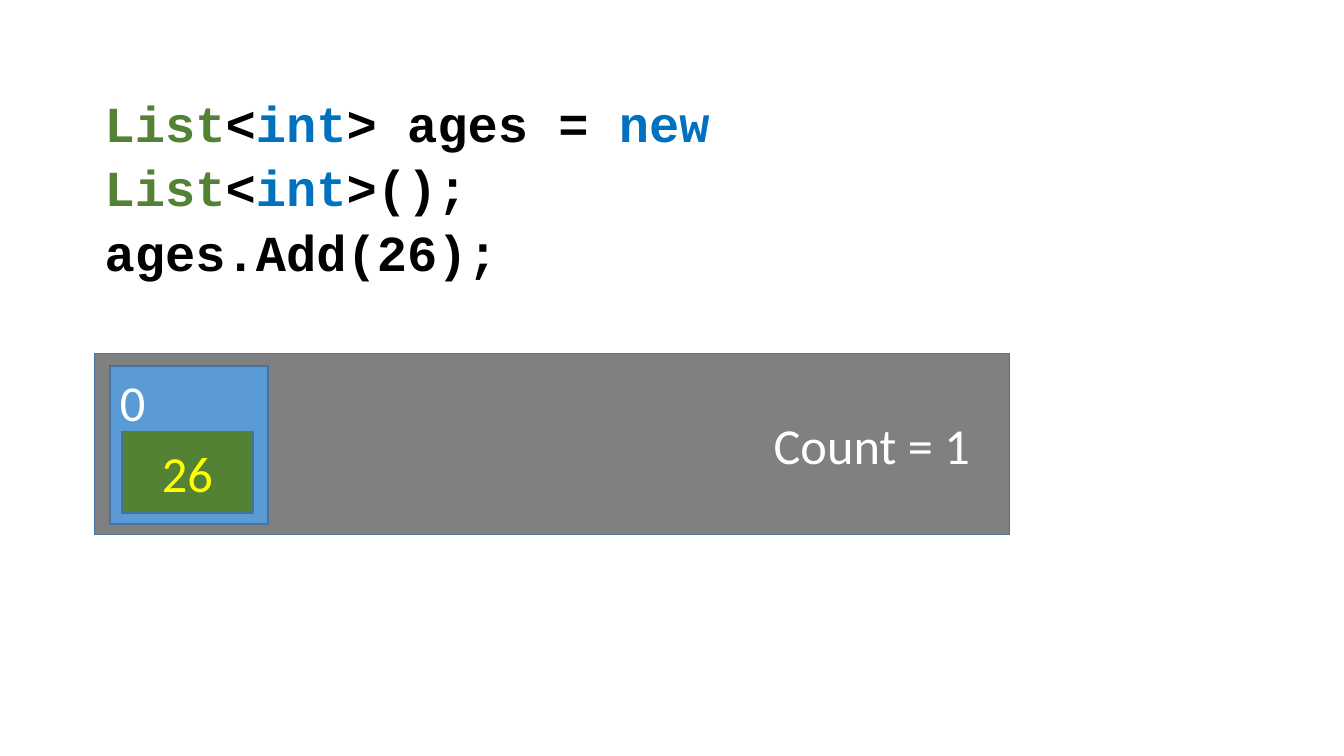
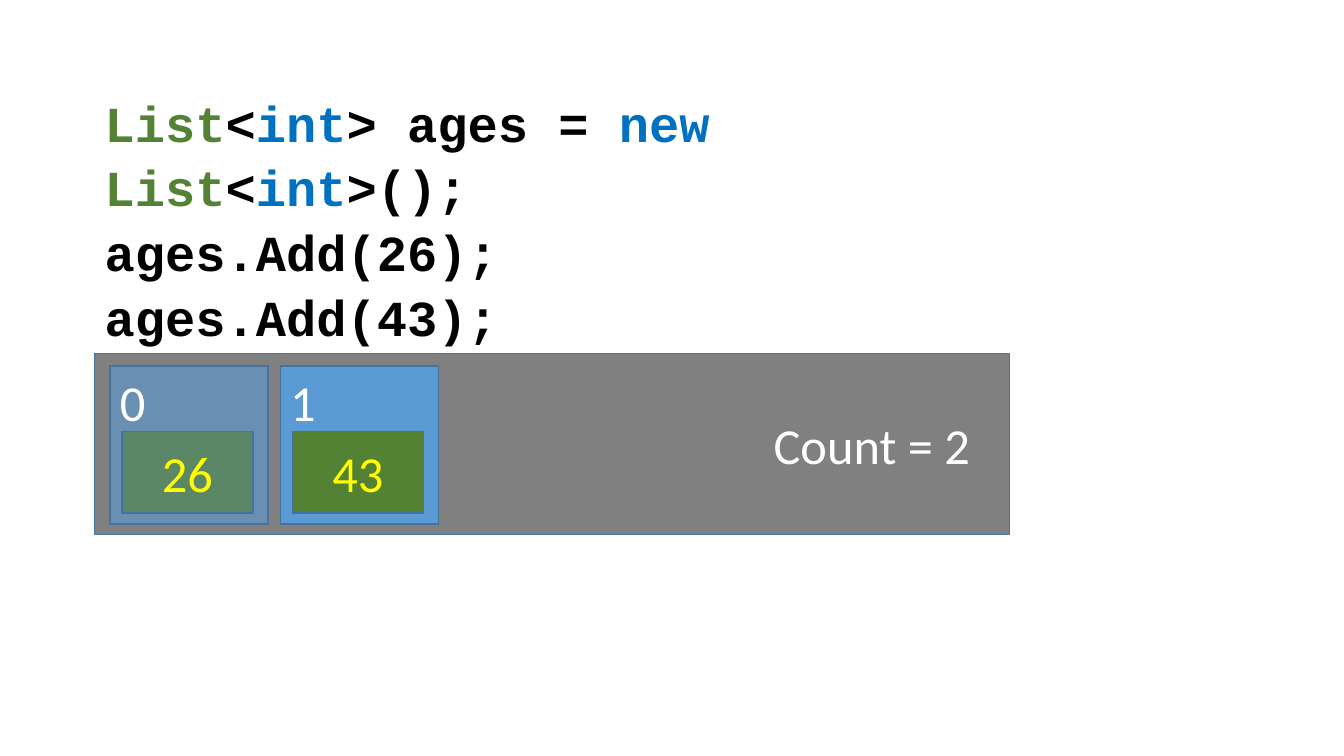
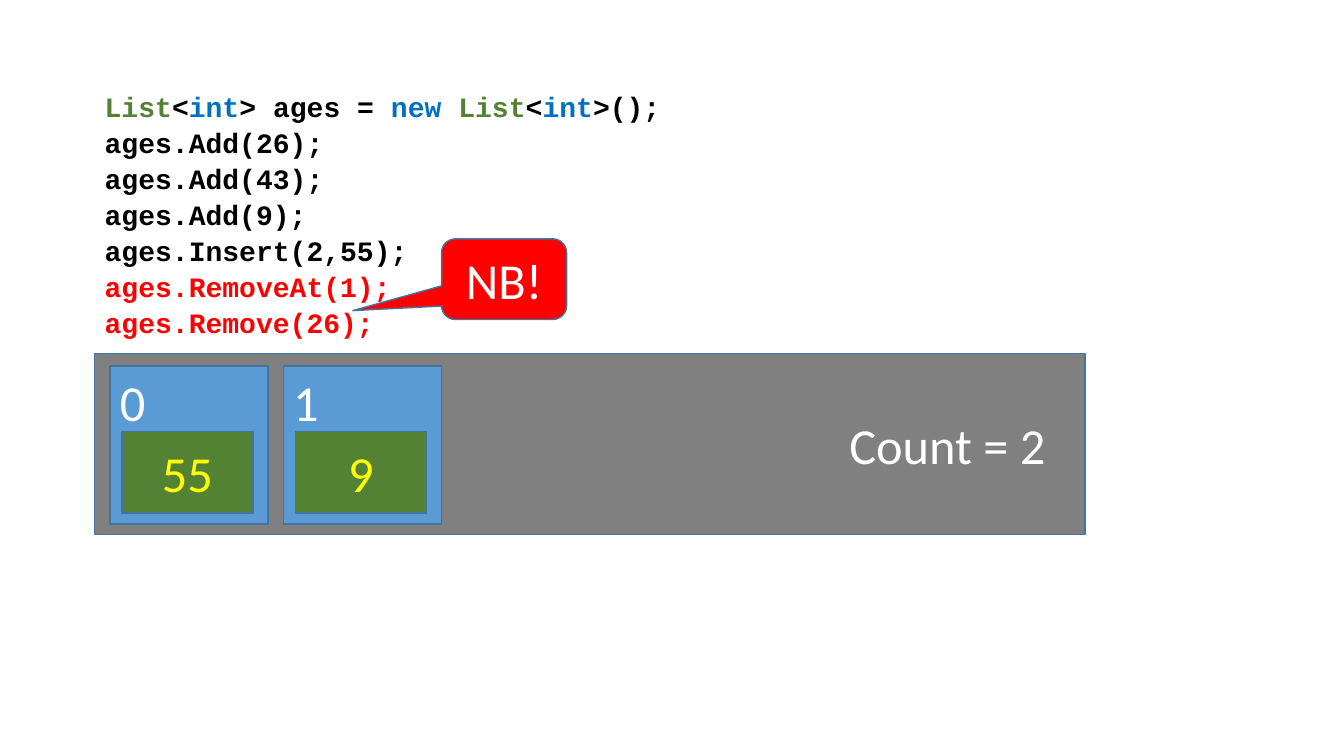
"""Build three slides that follow a C# list while items are added and removed."""

from dataclasses import dataclass
from typing import Optional

from lxml.etree import SubElement
from pptx import Presentation
from pptx.dml.color import RGBColor
from pptx.enum.shapes import MSO_SHAPE as Shape
from pptx.enum.text import MSO_ANCHOR as Anchor, MSO_AUTO_SIZE as AutoSize, PP_ALIGN as Align
from pptx.oxml.ns import qn
from pptx.shapes.autoshape import Shape as AutoShape
from pptx.slide import Slide
from pptx.util import Inches, Pt

COLORS = {
    "white": "FFFFFF",
    "black": "000000",
    "type": "548235",
    "keyword": "0070C0",
    "alert": "FF0000",
    "list": "808080",
    "slot": "5B9BD5",
    "value": "548235",
    "number": "FFFF00",
    "outline": "43739E",
}
LABEL_FONT, CODE_FONT = "Calibri", "Courier New"
LABEL_SIZE = 36
LEFT = 0.94
SLOT_LEFT, SLOT_TOP, SLOT_SIZE = 1.09, 3.63, 1.57
FADED_ALPHA = 60

DECLARATION = (
    ("List", "type"), ("<", "black"), ("int", "keyword"), ("> ages = ", "black"),
    ("new ", "keyword"), ("List", "type"), ("<", "black"), ("int", "keyword"),
    (">();", "black"),
)


@dataclass(frozen=True)
class Box:
    """Position and size in inches."""

    left: float
    top: float
    width: float
    height: float

    def lengths(self) -> tuple:
        """Return the four lengths in drawing units."""
        return tuple(Inches(n) for n in (self.left, self.top, self.width, self.height))


@dataclass(frozen=True)
class Step:
    """State of the list after the code shown on one slide."""

    calls: tuple[str, ...]
    values: tuple[int, ...]
    code_height: float
    code_size: int = 36
    list_width: float = 9.07
    pitch: float = 1.69
    faded: int = 0
    alerts: tuple[str, ...] = ()
    callout: Optional[str] = None


STEPS = (
    Step(("ages.Add(26);",), (26,), 1.31),
    Step(("ages.Add(26);", "ages.Add(43);"), (26, 43), 1.92, faded=1),
    Step(
        ("ages.Add(26);", "ages.Add(43);", "ages.Add(9);", "ages.Insert(2,55);"),
        (55, 9), 2.46, code_size=20, list_width=9.82, pitch=1.72,
        alerts=("ages.RemoveAt(1);", "ages.Remove(26);"), callout="NB!",
    ),
)


def rgb(name: str) -> RGBColor:
    """Look up a named colour."""
    return RGBColor.from_string(COLORS[name])


def add_label(page: Slide, box: Box, text: str, fill: str, color: str = "white",
              align: Align = Align.CENTER, anchor: Anchor = Anchor.MIDDLE,
              alpha: int = 100, kind: Shape = Shape.RECTANGLE) -> AutoShape:
    """Draw an outlined shape with one line of text."""
    shape = page.shapes.add_shape(kind, *box.lengths())
    shape.shadow.inherit = False
    shape.fill.solid()
    shape.fill.fore_color.rgb = rgb(fill)
    if alpha < 100:
        fill_color = shape.element.spPr.find(qn("a:solidFill")).find(qn("a:srgbClr"))
        SubElement(fill_color, qn("a:alpha")).set("val", str(alpha * 1000))
    shape.line.color.rgb = rgb("outline")
    shape.line.width = Pt(1)
    frame = shape.text_frame
    frame.word_wrap = True
    frame.vertical_anchor = anchor
    para = frame.paragraphs[0]
    para.text = text
    para.alignment = align
    para.font.name = LABEL_FONT
    para.font.size = Pt(LABEL_SIZE)
    para.font.color.rgb = rgb(color)
    return shape


def add_list(page: Slide, step: Step) -> None:
    """Draw the grey list with its count."""
    shape = add_label(page, Box(LEFT, 3.51, step.list_width, 1.79),
                      f"Count = {len(step.values)}", "list", align=Align.RIGHT)
    shape.text_frame.margin_right = Inches(0.39)


def add_code(page: Slide, step: Step) -> None:
    """Write the declaration and the calls that follow it."""
    frame = page.shapes.add_textbox(
        *Box(LEFT, 0.82, 10.07, step.code_height).lengths()).text_frame
    frame.word_wrap = True
    frame.auto_size = AutoSize.SHAPE_TO_FIT_TEXT
    lines = [DECLARATION]
    lines += [((call, "black"),) for call in step.calls]
    lines += [((call, "alert"),) for call in step.alerts]
    for number, line in enumerate(lines):
        para = frame.add_paragraph() if number else frame.paragraphs[0]
        para.line_spacing = 1.07
        para.font.name = CODE_FONT
        para.font.size = Pt(step.code_size)
        para.font.bold = True
        for text, color in line:
            span = para.add_run()
            span.text = text
            span.font.color.rgb = rgb(color)


def add_slot(page: Slide, index: int, value: int, pitch: float, alpha: int) -> None:
    """Draw one list slot with its index and value."""
    left = SLOT_LEFT + index * pitch
    add_label(page, Box(left, SLOT_TOP, SLOT_SIZE, SLOT_SIZE), str(index), "slot",
              align=Align.LEFT, anchor=Anchor.TOP, alpha=alpha)
    add_label(page, Box(left + 0.12, SLOT_TOP + 0.65, 1.3, 0.81), str(value), "value",
              color="number", alpha=alpha)


def add_callout(page: Slide, text: str) -> None:
    """Draw the warning that points at the last call."""
    shape = add_label(page, Box(4.38, 2.37, 1.24, 0.8), text, "alert",
                      kind=Shape.ROUNDED_RECTANGULAR_CALLOUT)
    for number, adjustment in enumerate((-1.21, 0.39, 0.17)):
        shape.adjustments[number] = adjustment


def main() -> None:
    """Build and save the deck."""
    deck = Presentation()
    deck.slide_width, deck.slide_height = Inches(13.33), Inches(7.5)
    for step in STEPS:
        page = deck.slides.add_slide(deck.slide_layouts[6])
        add_list(page, step)
        add_code(page, step)
        for index, value in enumerate(step.values):
            alpha = FADED_ALPHA if index < step.faded else 100
            add_slot(page, index, value, step.pitch, alpha)
        if step.callout:
            add_callout(page, step.callout)
    deck.save("out.pptx")


if __name__ == "__main__":
    main()
